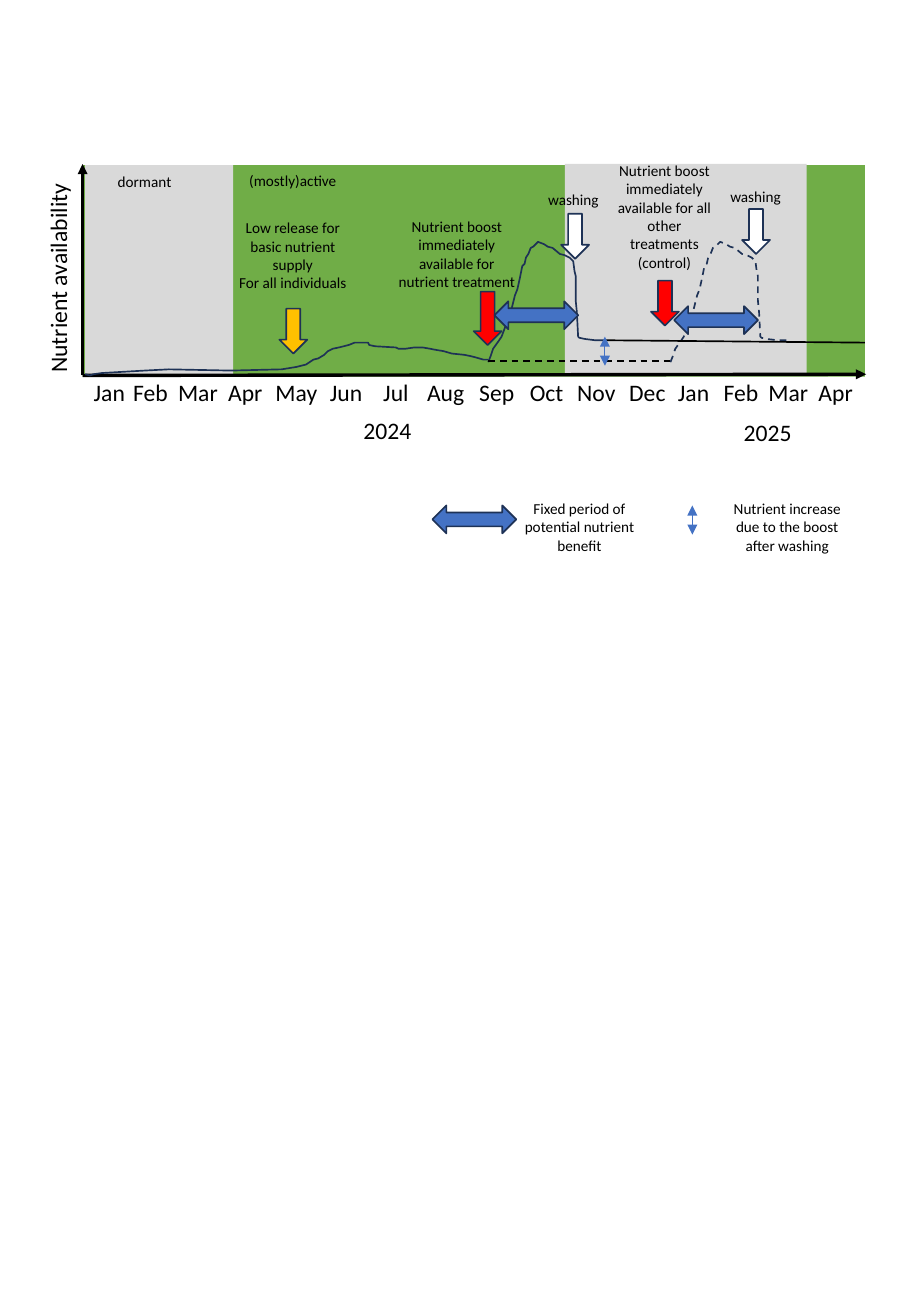
from dataclasses import dataclass

from lxml.etree import SubElement
from pptx import Presentation
from pptx.dml.color import RGBColor
from pptx.enum.dml import MSO_LINE as Dash
from pptx.enum.shapes import MSO_CONNECTOR as Connector, MSO_SHAPE as Shape
from pptx.enum.text import PP_ALIGN as Align
from pptx.oxml.ns import qn
from pptx.util import Emu, Pt

PX = 9144  # EMU per px, 100 px to the inch


@dataclass(frozen=True)
class Theme:
    font: str = "Calibri"
    label_size: int = 14
    note_size: int = 9
    black: str = "000000"
    white: str = "FFFFFF"
    active: str = "70AD47"
    dormant: str = "D9D9D9"
    outline: str = "1E3256"
    release: str = "FFC000"
    boost: str = "FF0000"
    benefit: str = "4472C4"


class Diagram:
    def __init__(self, slide, theme):
        self.shapes = slide.shapes
        self.theme = theme

    def stroke(self, line, color, width, dashed=False):
        line.color.rgb = RGBColor.from_string(color)
        line.width = Pt(width)
        if dashed:
            line.dash_style = Dash.DASH

    def block(self, kind, x, y, w, h, fill, outlined=True):
        shape = self.shapes.add_shape(kind, *(Emu(v * PX) for v in (x, y, w, h)))
        shape.shadow.inherit = False
        shape.fill.solid()
        shape.fill.fore_color.rgb = RGBColor.from_string(fill)
        if outlined:
            self.stroke(shape.line, self.theme.outline, 1)
        else:
            shape.line.fill.background()

    def down_arrow(self, x, y, fill, h=37):
        self.block(Shape.DOWN_ARROW, x, y, 23, h, fill)

    def benefit_arrow(self, x, y):
        self.block(Shape.LEFT_RIGHT_ARROW, x, y, 69, 23, self.theme.benefit)

    def line(self, start, end, color, width, dashed=False, heads=()):
        link = self.shapes.add_connector(
            Connector.STRAIGHT, *(Emu(v * PX) for v in (*start, *end)))
        self.stroke(link.line, color, width, dashed)
        properties = link._element.spPr
        for head in heads:
            SubElement(properties.find(qn("a:ln")), qn(head), type="triangle")
        SubElement(properties, qn("a:effectLst"))

    def increase_arrow(self, x, y):
        self.line((x, y), (x, y + 24), self.theme.benefit, 0.5,
                  heads=("a:headEnd", "a:tailEnd"))

    def curve(self, points, dashed=False):
        builder = self.shapes.build_freeform(*points[0], scale=PX)
        builder.add_line_segments(points[1:], close=False)
        shape = builder.convert_to_shape()
        shape.shadow.inherit = False
        shape.fill.background()
        self.stroke(shape.line, self.theme.outline, 1, dashed)

    def text(self, text, x, y, w=122, h=25, *, size=None, wrap=True, rotation=0):
        box = self.shapes.add_textbox(*(Emu(v * PX) for v in (x, y, w, h)))
        box.rotation = rotation
        frame = box.text_frame
        frame.word_wrap = wrap
        frame.text = text
        for paragraph in frame.paragraphs:
            paragraph.alignment = Align.CENTER
            paragraph.font.name = self.theme.font
            paragraph.font.size = Pt(size or self.theme.note_size)
            paragraph.font.color.rgb = RGBColor.from_string(self.theme.black)

    def axis_label(self, text, center, y, w=64, rotation=0):
        self.text(text, center - w // 2, y, w, 34, size=self.theme.label_size,
                  wrap=False, rotation=rotation)


MONTHS = [
    ("Jan", 90), ("Feb", 124), ("Mar", 163), ("Apr", 202), ("May", 244), ("Jun", 285),
    ("Jul", 326), ("Aug", 367), ("Sep", 409), ("Oct", 450), ("Nov", 491), ("Dec", 533),
    ("Jan", 571), ("Feb", 610), ("Mar", 649), ("Apr", 688),
]

LOW_RELEASE = [
    (70, 308), (74, 309), (77, 308), (84, 307), (119, 305), (139, 304), (190, 305),
    (232, 304), (244, 302), (252, 300), (258, 296), (262, 295), (267, 292), (270, 289),
    (274, 287), (279, 286), (287, 284), (292, 282), (303, 282), (304, 284), (309, 285),
    (326, 286), (328, 287), (334, 287), (341, 286), (348, 286), (354, 287), (359, 288),
    (365, 289), (372, 291), (382, 292), (387, 293), (391, 294), (398, 296), (402, 296),
]

BOOST = [
    (402, 298), (404, 293), (406, 287), (411, 280), (413, 277), (416, 269), (417, 267),
    (419, 261), (421, 255), (424, 243), (426, 238), (428, 229), (430, 219), (432, 217),
    (433, 212), (435, 209), (437, 204), (439, 203), (441, 201), (443, 199), (448, 201),
    (451, 203), (455, 204), (461, 209), (465, 210), (469, 212), (472, 215), (473, 223),
    (474, 227), (474, 247), (475, 257), (476, 277), (477, 278), (482, 279), (490, 280),
    (498, 280),
]


def main():
    deck = Presentation()
    deck.slide_width, deck.slide_height = Emu(750 * PX), Emu(1083 * PX)
    theme = Theme()
    diagram = Diagram(deck.slides.add_slide(deck.slide_layouts[6]), theme)

    # Active and dormant seasons
    for x, y, w, h, season in ((68, 136, 644, 174, theme.active),
                               (70, 136, 122, 173, theme.dormant),
                               (465, 135, 199, 173, theme.dormant)):
        diagram.block(Shape.RECTANGLE, x, y, w, h, season, outlined=False)

    # Axes with months and years
    for axis_end in ((713, 308), (68, 135)):
        diagram.line((68, 309), axis_end, theme.black, 2, heads=("a:tailEnd",))
    diagram.axis_label("Nutrient availability", 48, 212, w=178, rotation=270)
    for month, center in MONTHS:
        diagram.axis_label(month, center, 306)
    diagram.axis_label("2024", 319, 337)
    diagram.axis_label("2025", 632, 339)

    # Release and boost arrows
    diagram.down_arrow(230, 254, theme.release)
    diagram.down_arrow(390, 240, theme.boost, h=44)
    diagram.down_arrow(536, 231, theme.boost)

    # Nutrient curves: the control boost comes 150 px later
    diagram.curve(LOW_RELEASE)
    diagram.curve(BOOST)
    diagram.down_arrow(462, 176, theme.white)
    diagram.curve([(x + 150, y) for x, y in BOOST], dashed=True)
    diagram.line((498, 280), (712, 282), theme.black, 1)
    diagram.line((402, 297), (552, 297), theme.black, 1, dashed=True)
    diagram.down_arrow(611, 172, theme.white)

    # Benefit periods and nutrient increase, the last of each in the legend
    for x, y in ((407, 248), (555, 252), (356, 416)):
        diagram.benefit_arrow(x, y)
    for x, y in ((498, 277), (570, 416)):
        diagram.increase_arrow(x, y)

    # Notes and legend
    diagram.text("dormant", 58, 137)
    diagram.text("(mostly)active", 180, 136)
    diagram.text("washing", 411, 152)
    diagram.text("washing", 561, 149)
    diagram.text("Low release for basic nutrient supply\nFor all individuals",
                 180, 175, h=71)
    diagram.text("Nutrient boost immediately available for nutrient treatment",
                 315, 174, h=71)
    diagram.text("Nutrient boost immediately available for all other treatments\n(control)",
                 495, 128, w=104, h=101)
    diagram.text("Fixed period of potential nutrient benefit", 416, 406, h=56)
    diagram.text("Nutrient increase due to the boost after washing", 587, 406, h=56)

    deck.save("out.pptx")


if __name__ == "__main__":
    main()
